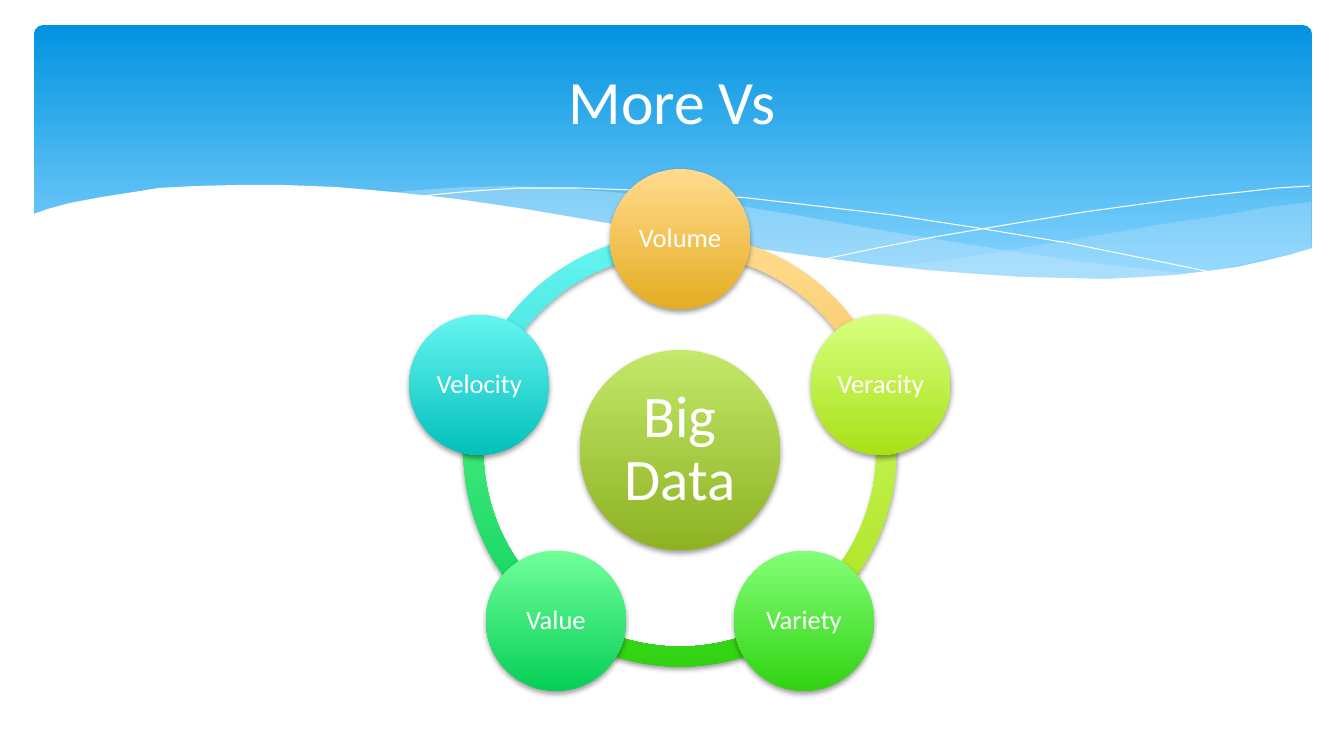
from math import cos, radians, sin

from lxml.etree import SubElement
from pptx import Presentation
from pptx.dml.color import RGBColor
from pptx.enum.shapes import MSO_SHAPE
from pptx.enum.text import MSO_ANCHOR, PP_ALIGN
from pptx.oxml.ns import qn
from pptx.util import Pt

# Content
TITLE = "More Vs"
HUB = "Big Data"
NODES = ["Volume", "Veracity", "Variety", "Value", "Velocity"]  # clockwise from the top

COLOURS = {
    "white": "FFFFFF", "mist": "C6E7FC", "shadow": "000000",
    "panel top": "0293E0", "panel bottom": "83D3FE",
    "Big Data top": "C3E86A", "Big Data bottom": "8DB222",
    "Volume top": "FFDB8E", "Volume bottom": "E6AD22",
    "Veracity top": "D8FF80", "Veracity bottom": "A9E117",
    "Variety top": "83FF77", "Variety bottom": "31D313",
    "Value top": "70FF99", "Value bottom": "06CF58",
    "Velocity top": "65F5F1", "Velocity bottom": "04C0BB",
}

# Header outlines, in px
RIGHT_BAND = [
    (889, 267), (918, 264), (980, 255), (1046, 244), (1118, 232), (1156, 225),
    (1218, 216), (1256, 209), (1293, 204), (1311, 202), (1311, 249), (1294, 254),
    (1267, 259), (1238, 265), (1206, 272), (1172, 276), (1135, 278), (1094, 280),
    (1049, 279), (1001, 277), (947, 273),
]
LONG_BAND = [
    (1200, 275), (1163, 271), (1085, 262), (997, 249), (898, 233), (846, 224),
    (784, 213), (727, 204), (674, 198), (624, 193), (564, 188), (510, 186),
    (463, 187), (421, 190), (385, 193), (434, 198), (487, 205), (543, 213),
    (604, 224), (659, 234), (712, 242), (785, 254), (853, 263), (914, 270),
    (971, 276), (1022, 279), (1069, 280), (1113, 280), (1153, 279),
]
FALLING_LINE = [
    (415, 197), (441, 194), (474, 191), (520, 188), (578, 188), (630, 190),
    (685, 193), (748, 198), (817, 206), (893, 215), (978, 228), (1068, 243),
    (1167, 263), (1220, 274),
]
RISING_LINE = [
    (825, 259), (877, 248), (934, 237), (1005, 225), (1084, 212), (1164, 201),
    (1204, 196), (1242, 192), (1277, 188), (1310, 186),
]
WHITE_WAVE = [
    (31, 215), (48, 209), (70, 203), (102, 197), (128, 193), (159, 188),
    (196, 186), (237, 185), (284, 185), (336, 187), (393, 192), (457, 199),
    (525, 209), (601, 222), (676, 235), (746, 247), (810, 256), (870, 264),
    (925, 270), (977, 274), (1023, 277), (1066, 278), (1106, 279), (1143, 277),
    (1176, 275), (1208, 271), (1237, 267), (1264, 261), (1289, 255), (1313, 248),
    (1313, 332), (31, 332),
]

# Cycle geometry, in px
CENTRE_X, CENTRE_Y = 680, 450
ORBIT, RING_SIZE, HUB_SIZE, NODE_SIZE = 211, 433, 200, 140
STEP = 360 / len(NODES)

SCALE = 914400 / 100.8  # EMU in one px


def px(length):
    return round(length * SCALE)


def colour(name):
    return RGBColor.from_string(COLOURS[name])


def fill_gradient(shape, name, end=1.0):
    shape.fill.gradient()
    shape.fill.gradient_angle = 270
    for stop, edge, position in zip(shape.fill.gradient_stops, ("top", "bottom"), (0, end)):
        stop.color.rgb = colour(f"{name} {edge}")
        stop.position = position


def add_shadow(shape):
    effects = shape._element.spPr.find(qn("a:effectLst"))
    outer = SubElement(effects, qn("a:outerShdw"), blurRad=str(Pt(4)), dist=str(Pt(2)),
                       dir="5400000", rotWithShape="0")
    tint = SubElement(outer, qn("a:srgbClr"), val=COLOURS["shadow"])
    SubElement(tint, qn("a:alpha"), val="38000")


def add_preset(kind, left, top, width, height):
    shape = slide.shapes.add_shape(kind, px(left), px(top), px(width), px(height))
    shape.shadow.inherit = False
    shape.line.fill.background()
    return shape


def add_centred(kind, x, y, size, name):
    shape = add_preset(kind, x - size / 2, y - size / 2, size, size)
    fill_gradient(shape, name)
    add_shadow(shape)
    return shape


def add_outline(points, fill=None, opacity=100):
    closed = fill is not None
    builder = slide.shapes.build_freeform(*points[0], scale=SCALE)
    builder.add_line_segments(points[1:], close=closed)
    shape = builder.convert_to_shape()
    shape.shadow.inherit = False
    if closed:
        shape.fill.solid()
        shape.fill.fore_color.rgb = colour(fill)
        shape.line.fill.background()
        if opacity < 100:
            tint = shape._element.spPr.find(qn("a:solidFill"))[0]
            SubElement(tint, qn("a:alpha"), val=str(opacity * 1000))
    else:
        shape.fill.background()
        shape.line.color.rgb = colour("white")
        shape.line.width = Pt(0)


def write(shape, text, size, inset, line_spacing=1.0):
    frame = shape.text_frame
    frame.word_wrap = True
    frame.vertical_anchor = MSO_ANCHOR.MIDDLE
    frame.margin_left = frame.margin_right = px(inset)
    frame.margin_top = frame.margin_bottom = px(inset)
    paragraph = frame.paragraphs[0]
    paragraph.alignment = PP_ALIGN.CENTER
    paragraph.line_spacing = line_spacing
    run = paragraph.add_run()
    run.text = text
    run.font.name = "Calibri"
    run.font.size = Pt(size)
    run.font.color.rgb = colour("white")


presentation = Presentation()
presentation.slide_width, presentation.slide_height = px(1344), px(756)
slide = presentation.slides.add_slide(presentation.slide_layouts[6])

# Header panel with waves
panel = add_preset(MSO_SHAPE.ROUNDED_RECTANGLE, 34, 25, 1278, 272)
panel.adjustments[0] = 0.034
fill_gradient(panel, "panel", end=0.9)
add_outline(RIGHT_BAND, "mist", opacity=29)
add_outline(LONG_BAND, "mist", opacity=40)
add_outline(FALLING_LINE)
add_outline(RISING_LINE)
add_outline(WHITE_WAVE, "white")

# Ring: one arc from each node to the next
angles = [(270 + STEP * index) % 360 for index in range(len(NODES))]
for name, angle in reversed(list(zip(NODES, angles))):
    arc = add_centred(MSO_SHAPE.BLOCK_ARC, CENTRE_X, CENTRE_Y, RING_SIZE, name)
    arc.adjustments[0] = angle * 0.6  # 60000 units a degree, scaled by 100000
    arc.adjustments[1] = (angle + STEP) % 360 * 0.6
    arc.adjustments[2] = 0.046

# Hub and nodes
hub = add_centred(MSO_SHAPE.OVAL, CENTRE_X, CENTRE_Y, HUB_SIZE, HUB)
write(hub, HUB, size=42, inset=6, line_spacing=0.9)
for name, angle in zip(NODES, angles):
    x = CENTRE_X + ORBIT * cos(radians(angle))
    y = CENTRE_Y + ORBIT * sin(radians(angle))
    node = add_centred(MSO_SHAPE.OVAL, x, y, NODE_SIZE, name)
    write(node, name, size=19, inset=3, line_spacing=0.9)

# Title
title = slide.shapes.add_textbox(px(67), px(31), px(1210), px(138))
write(title, TITLE, size=44, inset=5)

presentation.save("out.pptx")
